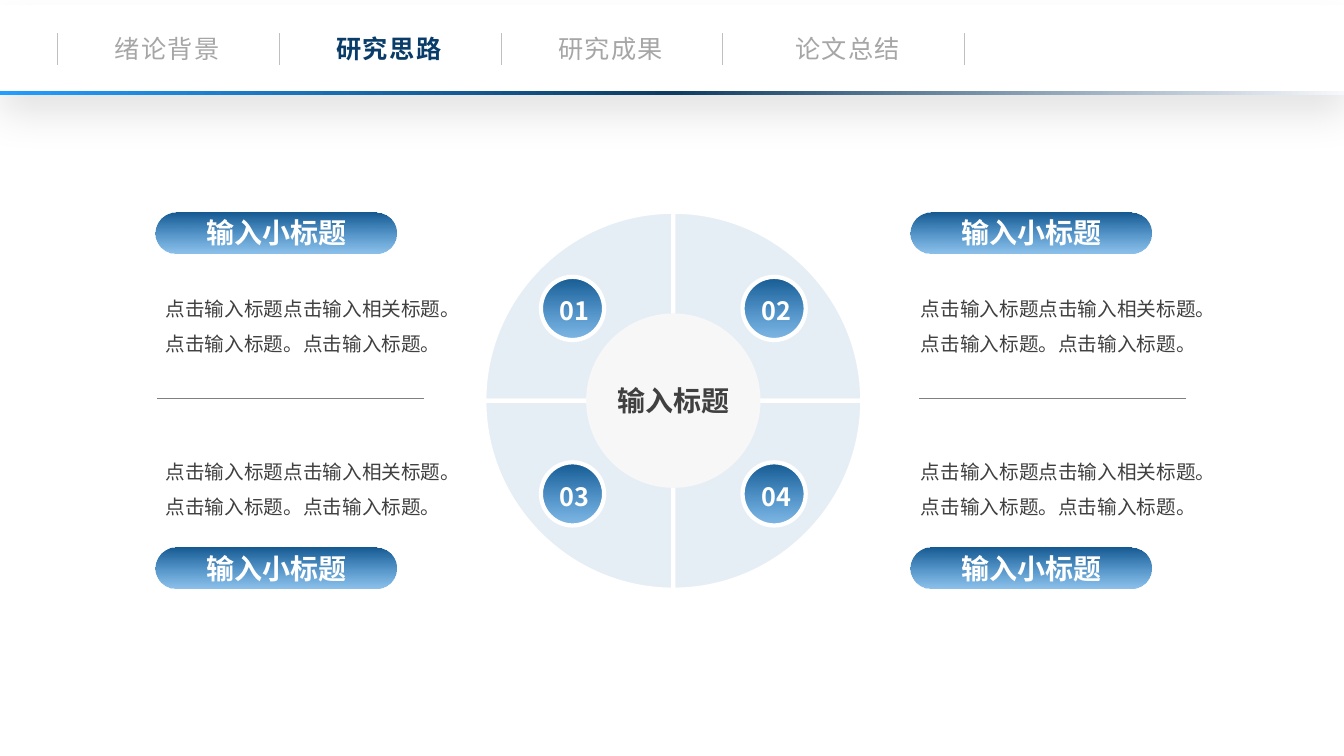
"""Build a research-approach slide: a navigation band, a four-part wheel and four captions."""
from lxml import etree
from pptx import Presentation
from pptx.dml.color import RGBColor
from pptx.enum.shapes import MSO_CONNECTOR, MSO_SHAPE
from pptx.enum.text import MSO_ANCHOR, MSO_AUTO_SIZE, PP_ALIGN
from pptx.oxml.ns import qn
from pptx.util import Emu, Inches, Pt

RECTANGLE = MSO_SHAPE.RECTANGLE
PILL = MSO_SHAPE.ROUNDED_RECTANGLE
CIRCLE = MSO_SHAPE.OVAL
STRAIGHT = MSO_CONNECTOR.STRAIGHT
CENTER, LEFT = PP_ALIGN.CENTER, PP_ALIGN.LEFT
TOP, MIDDLE = MSO_ANCHOR.TOP, MSO_ANCHOR.MIDDLE
FIXED_SIZE = MSO_AUTO_SIZE.NONE

WIDTH, HEIGHT = Inches(13.333), Inches(7.5)
COLUMNS, ROWS = 160, 90
ARC_HANDLE = 0.55
FONT = "Noto Sans CJK SC"
COLORS = {
    "white": "FFFFFF", "wheel": "E6EEF5", "hub": "F7F7F7", "text": "404040",
    "rule": "808080", "separator": "BFBFBF", "muted": "A6A6A6", "active": "0A3C69",
    "deep": "145991", "bright": "1D83D5", "sky": "239DFF", "navy": "0D3B61",
    "mist": "F6F8FC", "black": "000000",
}
BLUE_FADE = [(0, "deep", 100), (100, "bright", 50)]
BAR_FADE = [(0, "sky", 100), (50, "navy", 100), (100, "mist", 100)]


def across(columns):
    return Emu(round(WIDTH * columns / COLUMNS))


def down(rows):
    return Emu(round(HEIGHT * rows / ROWS))


def add_color(parent, name, alpha):
    color = etree.SubElement(parent, qn("a:srgbClr"), val=COLORS[name])
    if alpha < 100:
        etree.SubElement(color, qn("a:alpha"), val=str(alpha * 1000))


def write(box, text, size, color, bold=False, align=CENTER, anchor=MIDDLE,
          wrap=True, line_spacing=None, tracking=0):
    frame = box.text_frame
    frame.auto_size = FIXED_SIZE
    frame.word_wrap = wrap
    frame.vertical_anchor = anchor
    paragraph = frame.paragraphs[0]
    paragraph.alignment = align
    if line_spacing:
        paragraph.line_spacing = line_spacing
    span = paragraph.add_run()
    span.text = text
    span.font.size = Pt(size)
    span.font.bold = bold
    span.font.color.rgb = RGBColor.from_string(COLORS[color])
    span.font.name = FONT
    for properties in box.element.iter(qn("a:rPr")):
        etree.SubElement(properties, qn("a:ea"), typeface=FONT)
        if tracking:
            properties.set("spc", str(tracking * 100))


class Slide:
    """Hold the current page and draw styled elements on its grid."""

    def __init__(self, page):
        self.shapes = page.shapes

    def paint(self, shape, fill, line=None, line_width=3):
        shape.shadow.inherit = False
        if fill:
            shape.fill.solid()
            shape.fill.fore_color.rgb = RGBColor.from_string(COLORS[fill])
        if line:
            shape.line.color.rgb = RGBColor.from_string(COLORS[line])
            shape.line.width = Pt(line_width)
        else:
            shape.line.fill.background()

    def shape(self, kind, left, top, width, height, fill, line=None, line_width=3):
        shape = self.shapes.add_shape(kind, across(left), down(top), across(width), down(height))
        self.paint(shape, fill, line, line_width)
        return shape

    def faded(self, kind, left, top, width, height, stops, angle, line=None):
        shape = self.shape(kind, left, top, width, height, None, line)
        shape.fill.gradient()
        shape.fill.gradient_angle = -angle % 360
        stop_list = next(shape.element.iter(qn("a:gsLst")))
        for stop in list(stop_list):
            stop_list.remove(stop)
        for position, color, alpha in stops:
            stop = etree.SubElement(stop_list, qn("a:gs"), pos=str(position * 1000))
            add_color(stop, color, alpha)
        return shape

    def quadrant(self, column, row, radius, side, level):
        center = across(column), down(row)
        rim = [(across(column + side * radius), center[1]),
               (center[0], down(row + level * radius))]
        builder = self.shapes.build_freeform(*center)
        builder.add_line_segments(rim, close=True)
        wedge = builder.convert_to_shape()
        self.paint(wedge, "wheel", "white")
        points = [(int(point.get("x")), int(point.get("y")))
                  for point in wedge.element.iter(qn("a:pt"))]
        (hub_x, hub_y), (from_x, from_y), (to_x, to_y) = points[:3]
        handles = [(from_x, from_y + ARC_HANDLE * (to_y - hub_y)),
                   (to_x + ARC_HANDLE * (from_x - hub_x), to_y), (to_x, to_y)]
        edge = list(wedge.element.iter(qn("a:lnTo")))[1]
        curve = etree.Element(qn("a:cubicBezTo"))
        for x, y in handles:
            etree.SubElement(curve, qn("a:pt"), x=str(round(x)), y=str(round(y)))
        edge.getparent().replace(edge, curve)

    def line(self, start, end, color, width):
        line = self.shapes.add_connector(STRAIGHT, across(start[0]), down(start[1]),
                                         across(end[0]), down(end[1]))
        line.line.color.rgb = RGBColor.from_string(COLORS[color])
        line.line.width = Pt(width)
        etree.SubElement(line.element.spPr, qn("a:effectLst"))

    def text(self, left, top, width, height, text, **style):
        box = self.shapes.add_textbox(across(left), down(top), across(width), down(height))
        write(box, text, **style)

    def title(self, left, top, width, height, text, **style):
        box = self.shapes.title
        box.left, box.top = across(left), down(top)
        box.width, box.height = across(width), down(height)
        box.element.getparent().append(box.element)
        write(box, text, **style)

    def cast_shadow(self, shape, alpha, blur, distance):
        effects = next(shape.element.iter(qn("a:effectLst")))
        shadow = etree.SubElement(effects, qn("a:outerShdw"), blurRad=str(Pt(blur)),
                                  dist=str(Pt(distance)), dir="5400000", algn="t",
                                  rotWithShape="0")
        add_color(shadow, "black", alpha)


def draw_wheel(slide):
    column, row, hub_size, badge_size = 80.16, 47.7, 20.76, 7.52
    for side in (-1, 1):
        for level in (-1, 1):
            slide.quadrant(column, row, 22.5, side, level)
    hub = slide.shape(CIRCLE, column - hub_size / 2, row - hub_size / 2,
                      hub_size, hub_size, "hub")
    write(hub, "输入标题", size=20, color="text", bold=True, wrap=False)
    places = [(left, top) for top in (32.96, 55.04) for left in (64.4, 88.4)]
    for left, top in places:
        slide.faded(CIRCLE, left, top, badge_size, badge_size, BLUE_FADE, 90, "white")
    for number, (left, top) in enumerate(places, 1):
        slide.text(left + 0.6, top + 0.32, 6.84, 6.72, f"{number:02}",
                   size=18, color="white", bold=True, line_spacing=1.2)


def draw_captions(slide):
    for left, rule_left in ((18.55, 18.72), (108.45, 109.44)):
        slide.line((rule_left, 47.4), (rule_left + 31.8, 47.4), "rule", 0.25)
        for pill_top, text_top in ((25.25, 33.36), (65.16, 52.75)):
            slide.text(left, text_top, 37.3, 9.24,
                       "点击输入标题点击输入相关标题。点击输入标题。点击输入标题。",
                       size=14, color="text", align=LEFT, anchor=TOP, line_spacing=1.5)
            pill = slide.faded(PILL, left, pill_top, 28.68, 4.92, BLUE_FADE, 90)
            pill.adjustments[0] = 0.5
            write(pill, "输入小标题", size=20, color="white", bold=True)


def draw_navigation(slide):
    band = slide.shape(RECTANGLE, 0, 0.6, COLUMNS, 10.4, "white")
    slide.cast_shadow(band, alpha=11, blur=28, distance=15)
    for column in (6.84, 33.24, 59.64, 86.04, 114.84):
        slide.line((column, 3.96), (column, 7.72), "separator", 0.5)
    labels = (("绪论背景", 19.9), ("研究思路", 46.3), ("研究成果", 72.7), ("论文总结", 100.9))
    for label, middle in labels:
        active = label == "研究思路"
        place = slide.title if active else slide.text
        place(middle - 7.62, 3.36, 15.24, 4.8, label, size=18, bold=active,
              color="active" if active else "muted", wrap=False, tracking=1)
    slide.faded(RECTANGLE, 0, 10.78, COLUMNS, 0.52, BAR_FADE, 0)


def main():
    deck = Presentation()
    deck.slide_width, deck.slide_height = WIDTH, HEIGHT
    slide = Slide(deck.slides.add_slide(deck.slide_layouts[5]))
    slide.shape(RECTANGLE, 4.8, 4.8, 150.48, 80.4, "white", "white", 2.25)
    draw_wheel(slide)
    draw_captions(slide)
    draw_navigation(slide)
    deck.save("out.pptx")


if __name__ == "__main__":
    main()
